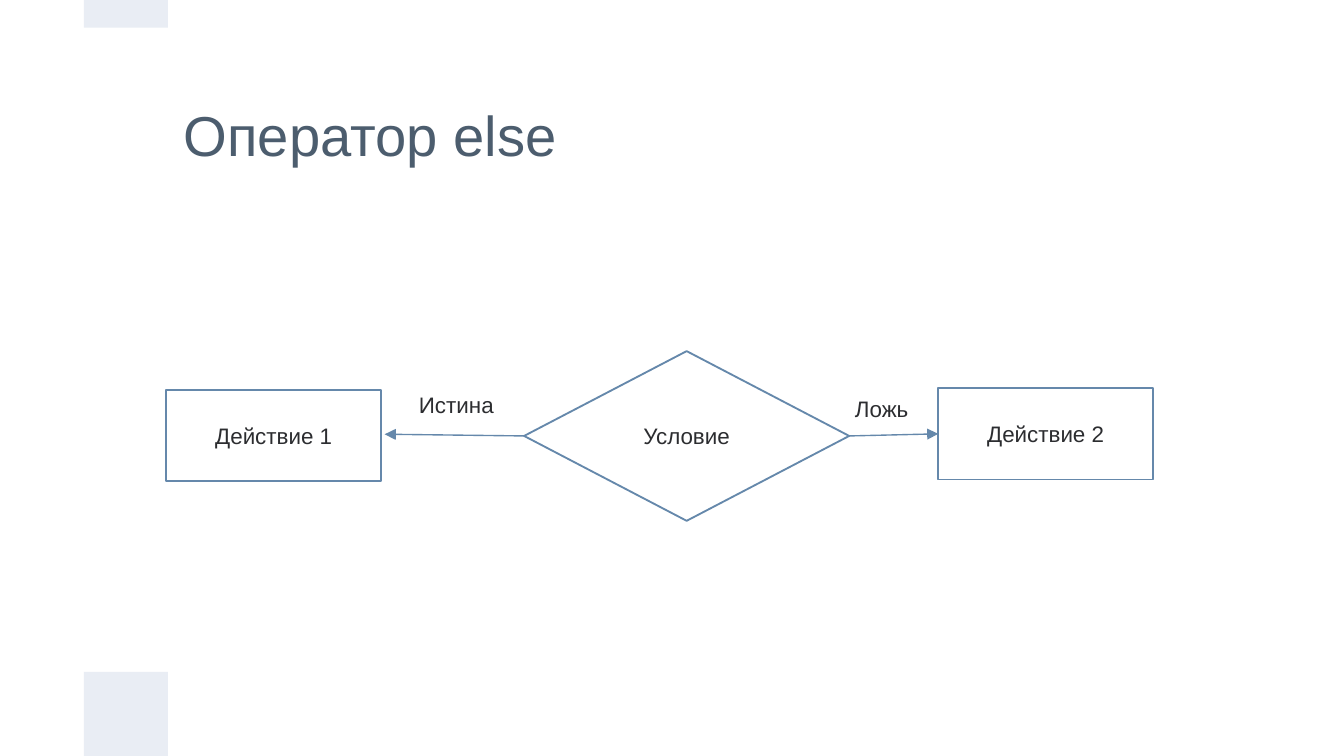
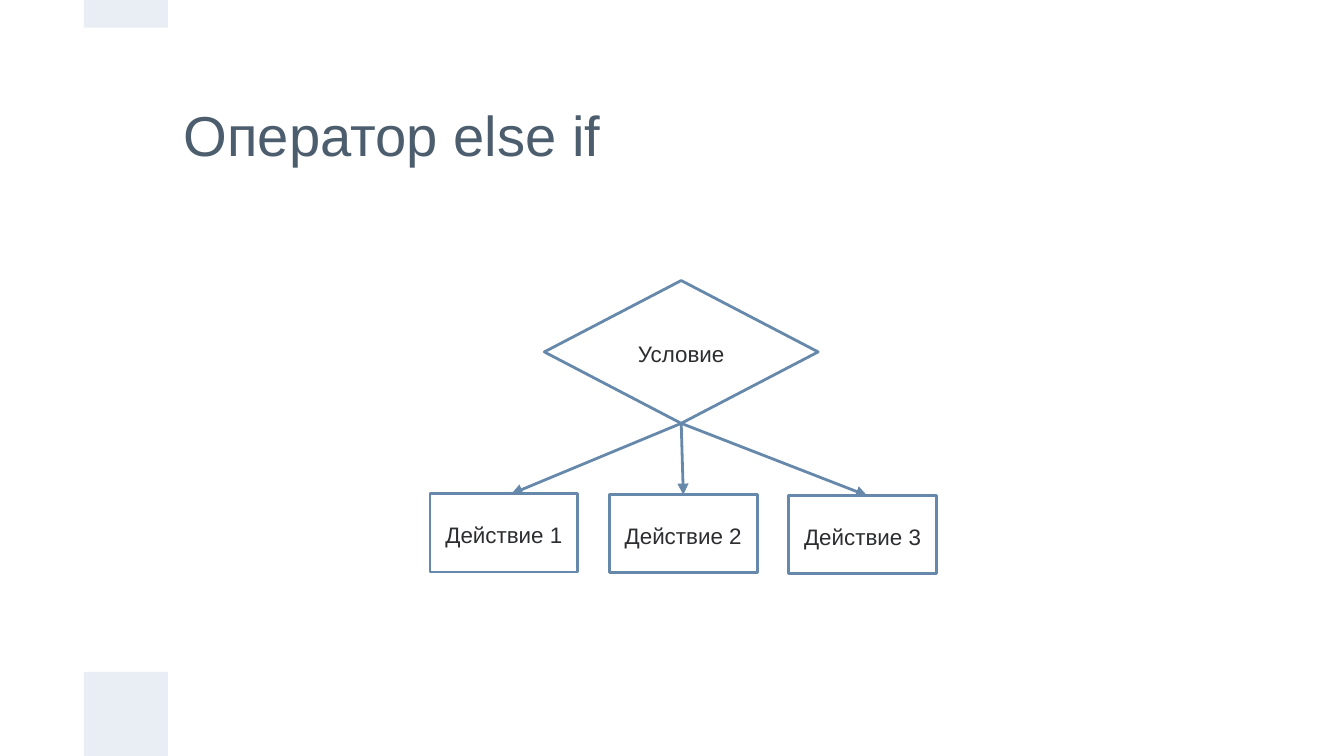
from dataclasses import dataclass

from lxml import etree
from pptx import Presentation
from pptx.dml.color import RGBColor
from pptx.enum.shapes import MSO_CONNECTOR, MSO_SHAPE
from pptx.enum.text import MSO_ANCHOR, PP_ALIGN
from pptx.oxml.ns import qn
from pptx.util import Emu, Inches, Pt

RECT, DECISION = MSO_SHAPE.RECTANGLE, MSO_SHAPE.FLOWCHART_DECISION
STRAIGHT = MSO_CONNECTOR.STRAIGHT
TOP, MIDDLE = MSO_ANCHOR.TOP, MSO_ANCHOR.MIDDLE
LEFT, CENTER = PP_ALIGN.LEFT, PP_ALIGN.CENTER

COLORS = {
    "paper": "FFFFFF",
    "band": "E9EDF4",
    "title": "4C5D6E",
    "text": "2C2D30",
    "line": "6588AB",
}
FONT = "Arial"
COLS, ROWS = 16, 9
WIDTH, HEIGHT = Inches(10), Inches(5.625)


@dataclass(frozen=True)
class Box:
    """A place in grid columns and rows."""
    col: float
    row: float
    cols: float
    rows: float

    def emu(self) -> tuple:
        return x(self.col), y(self.row), x(self.cols), y(self.rows)

    def point(self, across: float, down: float) -> tuple:
        """The point at the given shares of the width and height."""
        return self.col + across * self.cols, self.row + down * self.rows


@dataclass(frozen=True)
class Style:
    line_width: float
    arrow_width: float
    fill: str = ""
    spacing: float = 1.0


BANDS = (Box(1, 8, 1, 1), Box(1, 0, 1, 0.33))
TITLE = Box(1.98, 1.01, 15.98, 1.17)
ELSE_STYLE = Style(1, 0.75, fill="paper")
ELSE_IF_STYLE = Style(1.5, 1.5, spacing=1.15)


def x(cols: float) -> Emu:
    return Emu(round(WIDTH * cols / COLS))


def y(rows: float) -> Emu:
    return Emu(round(HEIGHT * rows / ROWS))


def rgb(name: str) -> RGBColor:
    return RGBColor.from_string(COLORS[name])


def write(sp, text: str, size: float = 12, color: str = "text", align=CENTER,
          anchor=MIDDLE, spacing: float = 1.0, insets: tuple = (0.1, 0.05)) -> None:
    tf = sp.text_frame
    tf.word_wrap = True
    tf.vertical_anchor = anchor
    tf.margin_left = tf.margin_right = Inches(insets[0])
    tf.margin_top = tf.margin_bottom = Inches(insets[1])
    p = tf.paragraphs[0]
    p.text = text
    p.alignment = align
    p.line_spacing = spacing
    p.font.name, p.font.size = FONT, Pt(size)
    p.font.color.rgb = rgb(color)


def add_block(s, kind, box: Box, fill: str = ""):
    sp = s.shapes.add_shape(kind, *box.emu())
    sp.shadow.inherit = False
    if fill:
        sp.fill.solid()
        sp.fill.fore_color.rgb = rgb(fill)
    else:
        sp.fill.background()
    sp.line.fill.background()
    return sp


def add_node(s, kind, box: Box, text: str, style: Style) -> None:
    sp = add_block(s, kind, box, style.fill)
    sp.line.color.rgb = rgb("line")
    sp.line.width = Pt(style.line_width)
    write(sp, text, spacing=style.spacing)


def add_label(s, box: Box, text: str) -> None:
    write(s.shapes.add_textbox(*box.emu()), text, align=LEFT, anchor=TOP)


def add_arrow(s, start: tuple, end: tuple, style: Style) -> None:
    cn = s.shapes.add_connector(STRAIGHT, x(start[0]), y(start[1]), x(end[0]), y(end[1]))
    cn.line.color.rgb = rgb("line")
    cn.line.width = Pt(style.arrow_width)
    etree.SubElement(cn.line._get_or_add_ln(), qn("a:tailEnd"), type="triangle")
    etree.SubElement(cn._element.spPr, qn("a:effectLst"))


def add_slide(prs, title: str):
    s = prs.slides.add_slide(prs.slide_layouts[6])
    s.background.fill.solid()
    s.background.fill.fore_color.rgb = rgb("paper")
    for band in BANDS:
        add_block(s, RECT, band, "band")
    write(s.shapes.add_textbox(*TITLE.emu()), title, 30.1, "title", LEFT,
          insets=(0.13, 0.13))
    return s


def build_else(prs) -> None:
    s = add_slide(prs, "Оператор else")
    style = ELSE_STYLE
    condition = Box(6.24, 4.18, 3.87, 2.02)
    action_1 = Box(1.98, 4.64, 2.56, 1.09)
    action_2 = Box(11.17, 4.62, 2.56, 1.09)

    # Branch labels
    add_label(s, Box(10.02, 4.62, 1.06, 0.54), "Ложь")
    add_label(s, Box(4.83, 4.58, 1.25, 0.54), "Истина")

    # Condition and its two actions
    add_node(s, DECISION, condition, "Условие", style)
    add_node(s, RECT, action_1, "Действие 1", style)
    add_node(s, RECT, action_2, "Действие 2", style)
    add_arrow(s, condition.point(0, 0.5), (4.58, 5.17), style)
    add_arrow(s, condition.point(1, 0.5), action_2.point(0, 0.5), style)


def build_else_if(prs) -> None:
    s = add_slide(prs, "Оператор else if")
    style = ELSE_IF_STYLE
    condition = Box(6.48, 3.34, 3.26, 1.7)
    add_node(s, DECISION, condition, "Условие", style)

    # Equal steps to the right; each arrow lands near the middle of its action
    for i, landing in enumerate((0.55, 0.5, 0.53)):
        action = Box(5.12 + 2.135 * i, 5.88 + 0.01 * i, 1.76, 0.93)
        add_node(s, RECT, action, f"Действие {i + 1}", style)
        add_arrow(s, condition.point(0.5, 1), action.point(landing, 0), style)


def main() -> None:
    prs = Presentation()
    prs.slide_width, prs.slide_height = WIDTH, HEIGHT
    build_else(prs)
    build_else_if(prs)
    prs.save("out.pptx")


if __name__ == "__main__":
    main()
